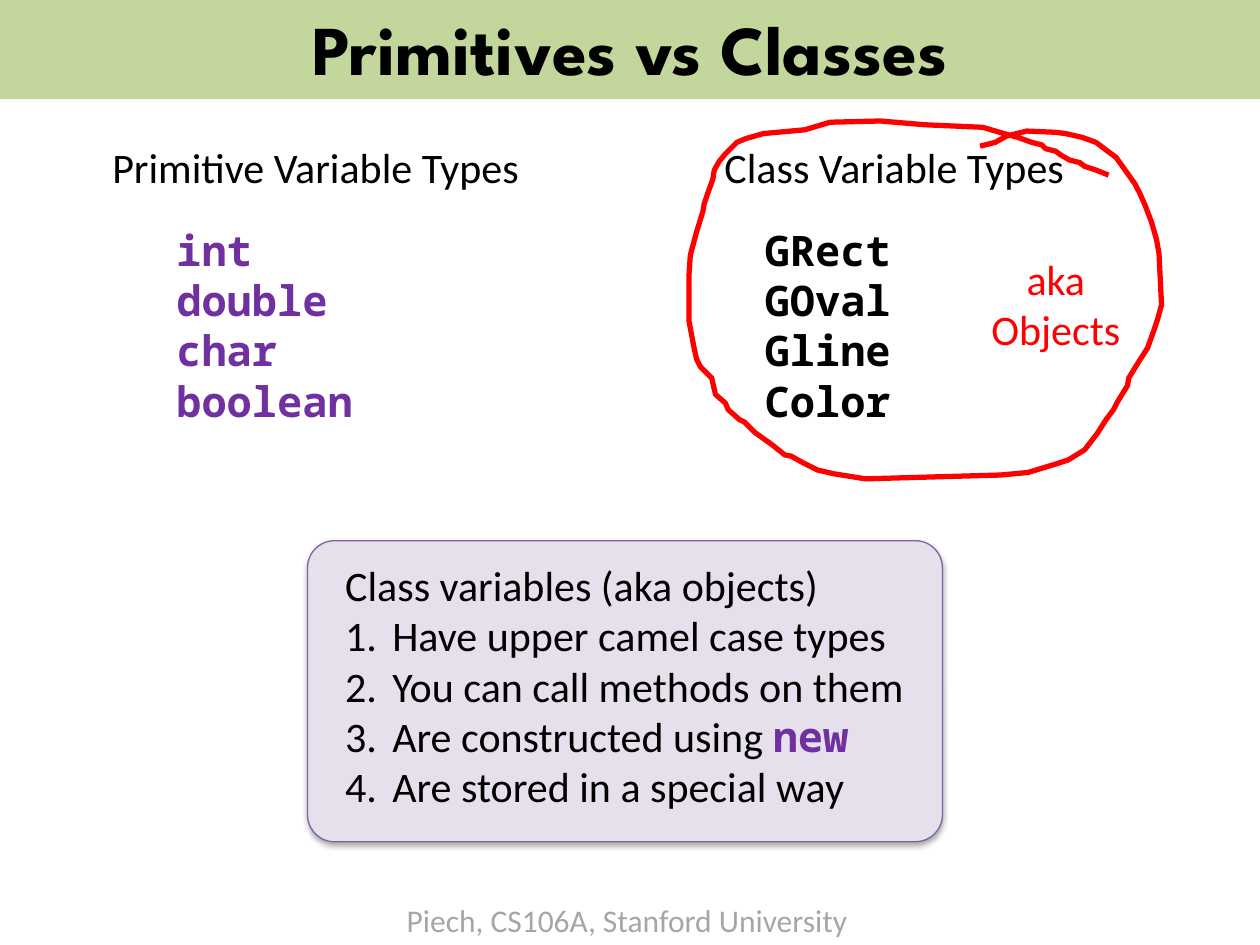
from lxml.etree import SubElement
from pptx import Presentation
from pptx.dml.color import RGBColor
from pptx.enum.shapes import MSO_SHAPE as Shape
from pptx.enum.text import MSO_ANCHOR as Anchor, MSO_AUTO_SIZE as AutoSize, PP_ALIGN as Align
from pptx.oxml.ns import qn
from pptx.util import Cm, Pt

BODY_FONT, CODE_FONT, TITLE_FONT = "Calibri", "Noto Sans Mono", "League Spartan"
BLACK, PURPLE, RED, GREY = "000000", "7030A0", "FF0000", "A6A6A6"
HAND_UNIT = Cm(0.0254)

# Pen stroke, in hand units from the top left of its box
HAND_CIRCLE = [
    (333, 43), (323, 39), (314, 36), (310, 33), (302, 31), (295, 27), (291, 24),
    (283, 22), (280, 19), (272, 17), (261, 13), (250, 10), (233, 5), (187, 3),
    (152, 0), (112, 1), (102, 4), (92, 7), (59, 10), (45, 14), (38, 17), (33, 22),
    (29, 26), (24, 32), (20, 39), (19, 46), (15, 57), (12, 66), (11, 72), (6, 88),
    (2, 103), (1, 107), (0, 122), (0, 159), (4, 180), (6, 189), (9, 195), (14, 200),
    (18, 204), (21, 217), (29, 224), (31, 229), (40, 237), (44, 239), (52, 247),
    (66, 257), (76, 265), (81, 266), (90, 271), (102, 277), (115, 280), (140, 284),
    (247, 281), (269, 279), (282, 275), (292, 272), (301, 269), (314, 261),
    (324, 248), (331, 237), (337, 229), (340, 223), (348, 210), (349, 204),
    (357, 191), (364, 180), (369, 166), (372, 157), (375, 146), (373, 105),
    (371, 94), (367, 80), (362, 67), (358, 58), (354, 50), (349, 43), (344, 36),
    (339, 29), (331, 23), (323, 17), (312, 13), (299, 10), (291, 9), (268, 8),
    (252, 12), (243, 17), (235, 19), (231, 20),
]


def rgb(hex_color):
    return RGBColor.from_string(hex_color)


def place(shape, left, top, width, height):
    """Move a shape to a box given in centimetres."""
    shape.left, shape.top, shape.width, shape.height = map(Cm, (left, top, width, height))


def style(font, name=BODY_FONT, size=24, color=BLACK, bold=False):
    font.name, font.size, font.bold = name, Pt(size), bold
    font.color.rgb = rgb(color)


def write(shape, lines, align=Align.LEFT, anchor=Anchor.TOP, **font):
    """Fill a shape with plain, unbulleted lines in one style."""
    frame = shape.text_frame
    frame.text = "\n".join(lines)
    frame.word_wrap, frame.auto_size = False, AutoSize.NONE
    frame.vertical_anchor = anchor
    for paragraph in frame.paragraphs:
        properties = paragraph._p.get_or_add_pPr()
        properties.set("marL", "0")
        properties.set("indent", "0")
        SubElement(properties, qn("a:buNone"))
        paragraph.alignment, paragraph.space_before = align, Pt(0)
        for run in paragraph.runs:
            style(run.font, **font)


def add_text(slide, box, lines, **look):
    textbox = slide.shapes.add_textbox(*map(Cm, box))
    write(textbox, lines, **look)
    return textbox


def title_band(slide, box, text):
    title = slide.shapes.title
    place(title, *box)
    title.fill.solid()
    title.fill.fore_color.rgb = rgb("C3D69B")
    write(title, [text], align=Align.CENTER, anchor=Anchor.MIDDLE,
          name=TITLE_FONT, size=40, bold=True)


def type_column(heading, types, box, list_indent, heading_text, type_names, color):
    """A heading with a list of type names below it."""
    left, top, width, height = box
    list_drop = 1.67
    place(heading, left, top, width, 1.27)
    write(heading, [heading_text])
    place(types, left + list_indent, top + list_drop, width - list_indent, height - list_drop)
    write(types, type_names, name=CODE_FONT, color=color, bold=True)


def add_soft_shadow(shape):
    effects = SubElement(shape._element.spPr, qn("a:effectLst"))
    shadow = SubElement(effects, qn("a:outerShdw"), blurRad=str(Pt(3.1)),
                        dist=str(Pt(1.8)), dir="5400000", rotWithShape="0")
    black = SubElement(shadow, qn("a:srgbClr"), val=BLACK)
    SubElement(black, qn("a:alpha"), val="35000")


def number(paragraph):
    hanging = Cm(0.95)
    properties = paragraph._p.get_or_add_pPr()
    properties.remove(properties.find(qn("a:buNone")))
    properties.set("marL", str(hanging))
    properties.set("indent", str(-hanging))
    SubElement(properties, qn("a:buAutoNum"), type="arabicPeriod")


def summary_card(slide, box, intro, facts, keyword_fact, keyword):
    """A rounded card with numbered facts, one of which ends in a code keyword."""
    left, top, width, height = box
    card = slide.shapes.add_shape(Shape.ROUNDED_RECTANGLE, *map(Cm, box))
    card.adjustments[0] = 0.09
    card.fill.solid()
    card.fill.fore_color.rgb = rgb("E6E0EC")
    card.line.color.rgb = rgb("8064A2")
    card.line.width = Pt(0.75)
    add_soft_shadow(card)

    summary = add_text(slide, (left + 0.51, top + 0.25, width - 0.86, height - 0.25),
                       [intro, *facts])
    fact_paragraphs = summary.text_frame.paragraphs[1:]
    for paragraph in fact_paragraphs:
        number(paragraph)
    keyword_run = fact_paragraphs[keyword_fact].add_run()
    keyword_run.text = keyword
    style(keyword_run.font, CODE_FONT, color=PURPLE, bold=True)


def hand_circle(slide, left, top):
    start, *rest = HAND_CIRCLE
    builder = slide.shapes.build_freeform(*start, scale=HAND_UNIT)
    builder.add_line_segments(rest, close=False)
    stroke = builder.convert_to_shape(Cm(left), Cm(top))
    stroke.shadow.inherit = False
    stroke.fill.background()
    stroke.line.color.rgb = rgb(RED)
    stroke.line.width = Pt(3)


def main():
    deck = Presentation()
    deck.slide_width, deck.slide_height = Cm(25.4), Cm(19.05)
    comparison_layout = deck.slide_layouts[4]
    slide = deck.slides.add_slide(comparison_layout)
    _, left_heading, left_types, right_heading, right_types = slide.placeholders

    add_text(slide, (7.95, 18.03, 9.5, 1.02), ["Piech, CS106A, Stanford University"],
             size=18, color=GREY)
    title_band(slide, (0, -0.08, 25.4, 2.08), "Primitives vs Classes")
    type_column(left_heading, left_types, (2.01, 2.72, 8.79, 6.04), 1.29,
                "Primitive Variable Types", ["int", "double", "char", "boolean"], PURPLE)
    type_column(right_heading, right_types, (14.35, 2.72, 10.03, 6.04), 0.81,
                "Class Variable Types", ["GRect", "GOval", "Gline", "Color"], BLACK)
    summary_card(slide, (6.2, 10.9, 12.8, 6.07), "Class variables (aka objects)",
                 ["Have upper camel case types", "You can call methods on them",
                  "Are constructed using ", "Are stored in a special way"],
                 keyword_fact=2, keyword="new")
    hand_circle(slide, 13.89, 2.44)
    add_text(slide, (19.71, 4.98, 3.15, 2.31), ["aka", "Objects"],
             align=Align.CENTER, color=RED)
    deck.save("out.pptx")


if __name__ == "__main__":
    main()
